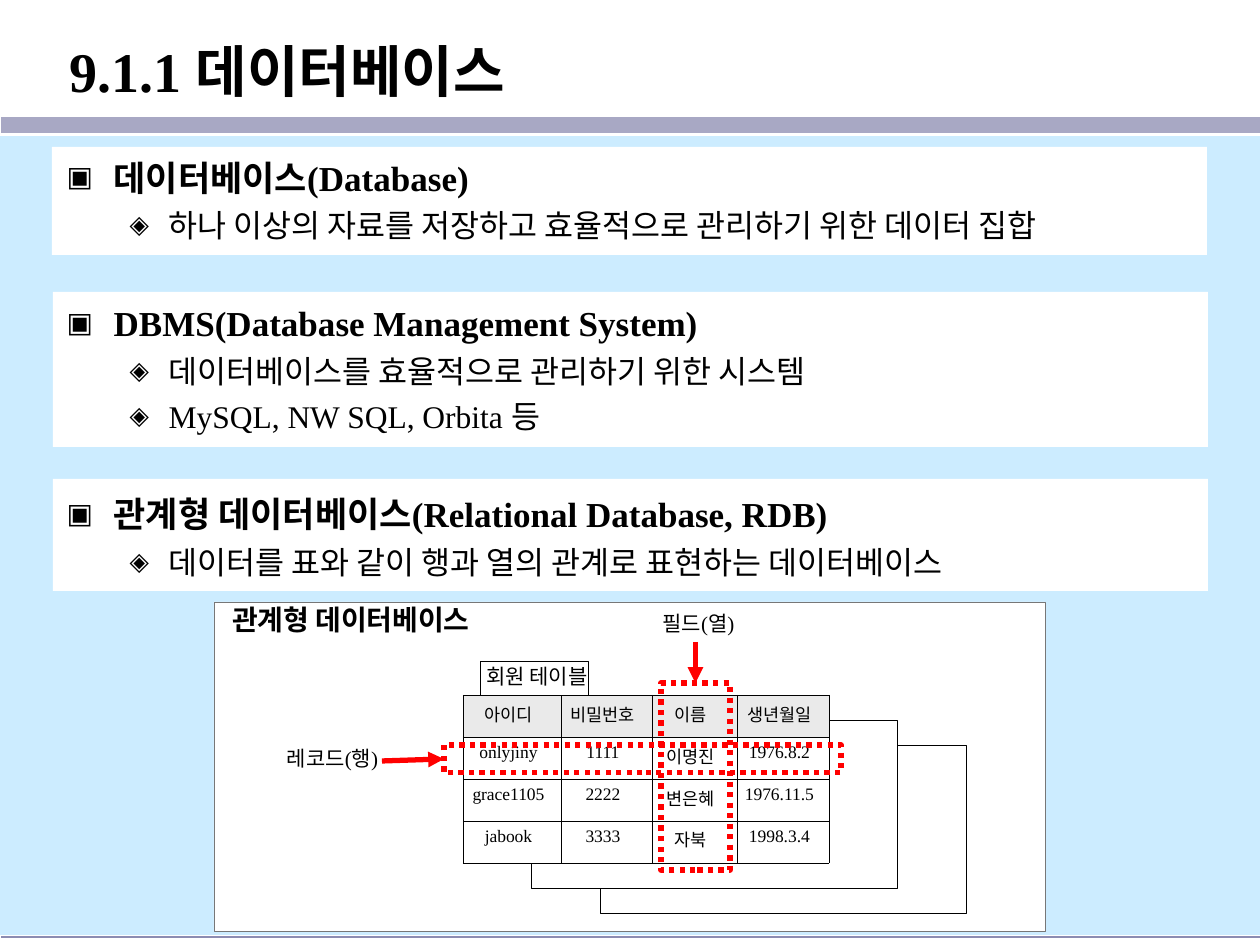
import pptx
import pptx.util
import pptx.dml.color
import pptx.enum.dml
import pptx.enum.shapes
import pptx.enum.text
import pptx.oxml.ns
from lxml import etree

SCALE = 914400 / 126
FONT = "Times New Roman"
BLACK, WHITE, RED = "000000", "FFFFFF", "FF0000"
NOTES = [
    ("데이터베이스(Database)",
     ["하나 이상의 자료를 저장하고 효율적으로 관리하기 위한 데이터 집합"]),
    ("DBMS(Database Management System)",
     ["데이터베이스를 효율적으로 관리하기 위한 시스템", "MySQL, NW SQL, Orbita 등"]),
    ("관계형 데이터베이스(Relational Database, RDB)",
     ["데이터를 표와 같이 행과 열의 관계로 표현하는 데이터베이스"]),
]
PANELS = [(51, 0, 1155, 108), (52, 145, 1155, 155), (52, 332, 1155, 112)]
ROWS = [
    ("아이디", "비밀번호", "이름", "생년월일"),
    ("onlyjiny", "1111", "이명진", "1976.8.2"),
    ("grace1105", "2222", "변은혜", "1976.11.5"),
    ("jabook", "3333", "자북", "1998.3.4"),
]
COLS = [98, 91, 85, 92]
ROW = 42


def px(n):
    return pptx.util.Emu(round(n * SCALE))


def color(code):
    return pptx.dml.color.RGBColor.from_string(code)


def node(parent, tag, **attrs):
    return etree.SubElement(parent, pptx.oxml.ns.qn(tag), **attrs)


def style(para, size, bold=False):
    for run in para.runs:
        font = run.font
        font.name, font.size, font.bold = FONT, pptx.util.Pt(size), bold
        font.color.rgb = color(BLACK)


def rect(slide, x, y, w, h, fill=None, line=None, width=0.25):
    kind = pptx.enum.shapes.MSO_SHAPE.RECTANGLE
    shape = slide.shapes.add_shape(kind, px(x), px(y), px(w), px(h))
    shape.shadow.inherit = False
    if fill:
        shape.fill.solid()
        shape.fill.fore_color.rgb = color(fill)
    else:
        shape.fill.background()
    if line:
        shape.line.color.rgb = color(line)
        shape.line.width = pptx.util.Pt(width)
    else:
        shape.line.fill.background()
    return shape


def link(slide, x, y, right, low, code, width):
    kind = pptx.enum.shapes.MSO_CONNECTOR.STRAIGHT
    line = slide.shapes.add_connector(kind, px(x), px(y), px(right), px(low))
    line.line.color.rgb = color(code)
    line.line.width = pptx.util.Pt(width)
    node(line.element.spPr, "a:effectLst")
    return line


def arrow(slide, x, y, right, low):
    line = link(slide, x, y, right, low, RED, 3)
    node(line.line._get_or_add_ln(), "a:tailEnd", type="triangle")
    return line


def place(shape, x, y, w, h):
    shape.left, shape.top = px(x), px(y)
    shape.width, shape.height = px(w), px(h)
    shape.text_frame.auto_size = pptx.enum.text.MSO_AUTO_SIZE.NONE


def label(shape, text, size, bold=False):
    frame = shape.text_frame
    frame.word_wrap = False
    frame.vertical_anchor = pptx.enum.text.MSO_ANCHOR.TOP
    frame.margin_left = frame.margin_top = frame.margin_bottom = px(6)
    frame.margin_right = 0
    frame.text = text
    para = frame.paragraphs[0]
    para.alignment = pptx.enum.text.PP_ALIGN.CENTER
    para.line_spacing = 0.85
    style(para, size, bold)
    return shape


def text(slide, x, y, w, h, words, size, bold=False):
    box = slide.shapes.add_textbox(px(x), px(y), px(w), px(h))
    return label(box, words, size, bold)


def head(slide, x, y, w, h):
    title = slide.shapes.title
    place(title, x + 56, y, w - 56, h)
    title.text_frame.vertical_anchor = pptx.enum.text.MSO_ANCHOR.MIDDLE
    title.text_frame.text = "9.1.1 데이터베이스"
    para = title.text_frame.paragraphs[0]
    para.alignment = pptx.enum.text.PP_ALIGN.LEFT
    style(para, 32, True)
    link(slide, x, y + h - 2, x + w, y + h - 2, "A8A8C4", 9.25)


def point(para, words, level, gap):
    para.text = words
    para.level = level
    left, hang, mark, size = [(47, 47, "▣", 20), (102, 39, "◈", 18)][level]
    props = para._p.get_or_add_pPr()
    props.set("marL", str(px(left)))
    props.set("indent", str(-px(hang)))
    node(node(props, "a:buClr"), "a:srgbClr", val=BLACK)
    node(props, "a:buSzPct", val="80000")
    node(props, "a:buFont", typeface=FONT)
    node(props, "a:buChar", char=mark)
    para.space_before = pptx.util.Pt(gap)
    style(para, size, level == 0)


def notes(slide, x, y, w, h):
    for left, top, wide, high in PANELS:
        rect(slide, x + left, y + top, wide, high, WHITE)
    body = slide.placeholders[1]
    slide.shapes.element.append(body.element)
    place(body, x + 53, y + 3, w - 106, h - 4)
    frame = body.text_frame
    para = frame.paragraphs[0]
    for i, (name, lines) in enumerate(NOTES):
        if i:
            para = frame.add_paragraph()
        point(para, name, 0, 33 if i else 0)
        for line in lines:
            point(frame.add_paragraph(), line, 1, 4.5)


def edge(cell):
    props = cell._tc.get_or_add_tcPr()
    for i, side in enumerate(("a:lnL", "a:lnR", "a:lnT", "a:lnB")):
        line = node(props, side, w="3175")
        node(node(line, "a:solidFill"), "a:srgbClr", val=BLACK)
        props.insert(i, line)


def grid(slide, x, y):
    high = ROW * len(ROWS)
    frame = slide.shapes.add_table(len(ROWS), len(COLS), px(x), px(y),
                                   px(sum(COLS)), px(high))
    table = frame.table
    table.first_row = table.horz_banding = False
    for col, wide in zip(table.columns, COLS):
        col.width = px(wide)
    for r, row in enumerate(ROWS):
        table.rows[r].height = px(ROW)
        for c, words in enumerate(row):
            cell = table.cell(r, c)
            cell.margin_left = cell.margin_top = cell.margin_bottom = px(6)
            cell.margin_right = px(13)
            cell.text = words
            para = cell.text_frame.paragraphs[0]
            para.alignment = pptx.enum.text.PP_ALIGN.CENTER
            style(para, 10)
            cell.fill.solid()
            cell.fill.fore_color.rgb = color(WHITE if r else "EAEAEA")
            edge(cell)


def frame(slide, x, y, w, h):
    box = rect(slide, x, y, w, h, None, RED, 3)
    box.line.dash_style = pptx.enum.dml.MSO_LINE.ROUND_DOT
    return box


def chart(slide, x, y, w, h):
    rect(slide, x, y, w, h, WHITE, "777777")
    wide, high = sum(COLS), ROW * len(ROWS)
    for i in (2, 1):
        rect(slide, x + 248 + i * 69, y + 93 + i * 25, wide, high, WHITE, BLACK)
    grid(slide, x + 249, y + 93)
    label(rect(slide, x + 266, y + 59, 108, 34, WHITE, BLACK), "회원 테이블", 12)
    text(slide, x + 12, y, 244, 42, "관계형 데이터베이스", 16, True)
    row = frame(slide, x + 230, y + 143, 397, 28)
    text(slide, x + 59, y + 141, 113, 34, "레코드(행)", 12)
    arrow(slide, x + 168, y + 159, x + 228, y + 157).end_connect(row, 1)
    col = frame(slide, x + 447, y + 81, 69, 187)
    name = text(slide, x + 435, y + 6, 93, 34, "필드(열)", 12)
    line = arrow(slide, x + 481, y + 40, x + 481, y + 81)
    line.begin_connect(name, 2)
    line.end_connect(col, 0)


def main():
    deck = pptx.Presentation()
    deck.slide_width, deck.slide_height = px(1260), px(945)
    slide = deck.slides.add_slide(deck.slide_layouts[1])
    head(slide, 1, 14, 1259, 113)
    rect(slide, 0, 136, 1260, 799, "CCECFF")
    link(slide, 1, 937, 1260, 937, "8C8CB2", 1)
    notes(slide, 1, 147, 1259, 444)
    chart(slide, 214, 602, 831, 329)
    deck.save("out.pptx")


if __name__ == "__main__":
    main()
